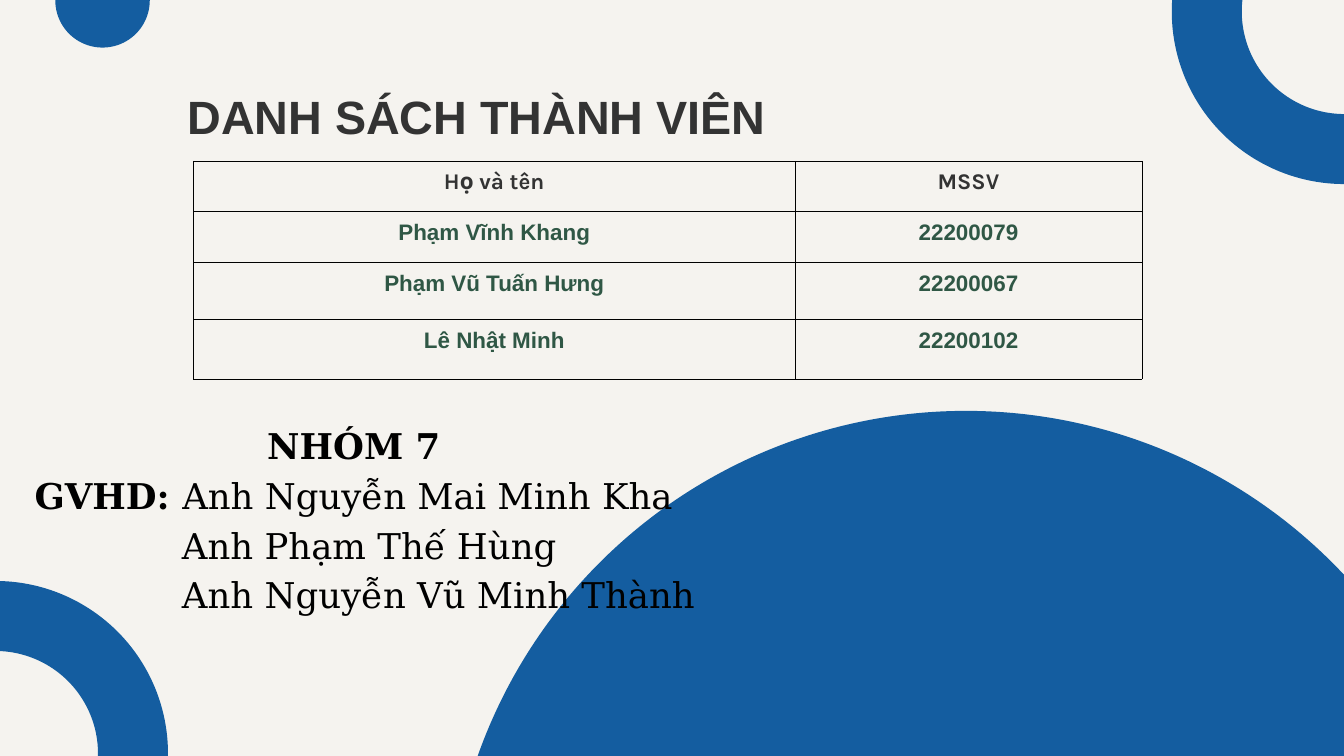
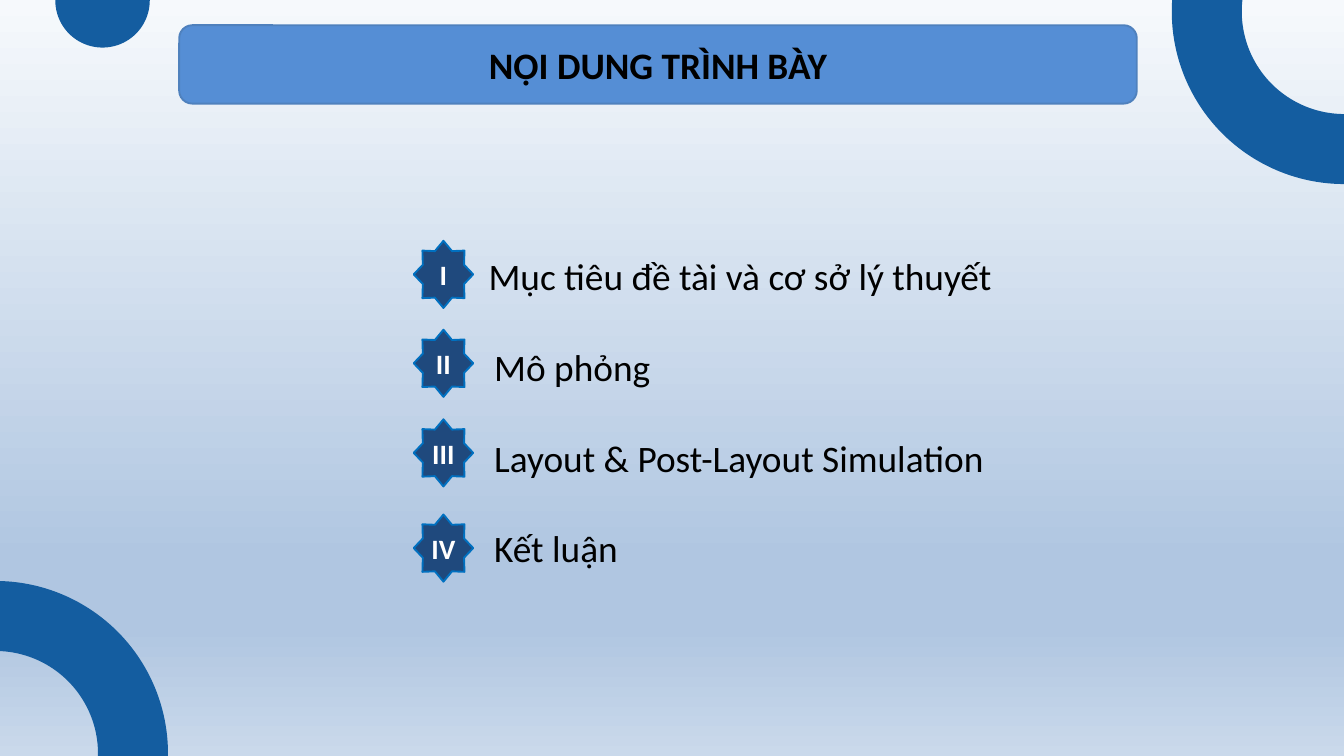
import dataclasses

import lxml.etree
import pptx
import pptx.dml.color
import pptx.enum.shapes
import pptx.enum.text
import pptx.oxml.ns
import pptx.util

PX = 9525  # EMU in one px; the slide is 1920 x 1080 px
ALIGN = pptx.enum.text.PP_ALIGN
ANCHOR = pptx.enum.text.MSO_ANCHOR
SHAPE = pptx.enum.shapes.MSO_SHAPE
qn = pptx.oxml.ns.qn


def rgb(value):
    return pptx.dml.color.RGBColor.from_string(value)


def apply(target, values):
    for name, value in values.items():
        setattr(target, name, value)


def type_style(name, size, color, bold=False):
    return {"name": name, "size": pptx.util.Pt(size), "bold": bold, "color": color}


@dataclasses.dataclass(frozen=True)
class Theme:
    paper: str = "F5F3EF"
    blue: str = "145DA0"
    banner: str = "558ED5"
    banner_edge: str = "4F81BD"
    badge: str = "1F497D"
    badge_edge: str = "0070C0"
    grid: str = "000000"
    sky: tuple = ((0, "F6F9FC"), (74, "B0C6E1"), (83, "B0C6E1"), (100, "CAD9EB"))
    ring_width: int = 75
    edge_width: int = 2
    grid_width: float = 0.37
    heading = type_style("Arial", 50, "333333", True)
    column_head = type_style("Karla", 24, "333333", True)
    member = type_style("Arial", 24, "2F5745", True)
    label = type_style("DejaVu Serif", 38, "000000", True)
    teacher = type_style("DejaVu Serif", 38, "000000")
    banner_title = type_style("Calibri", 40, "000000", True)
    topic = type_style("Calibri", 40, "000000")
    numeral = type_style("Calibri", 30, "FFFFFF", True)


class Deck:
    def __init__(self, theme):
        self.theme = theme
        self.show = pptx.Presentation()
        apply(self.show, {"slide_width": 1920 * PX, "slide_height": 1080 * PX})

    def new_slide(self):
        self.slide = self.show.slides.add_slide(self.show.slide_layouts[1])

    def plain_background(self, color):
        fill = self.slide.background.fill
        fill.solid()
        fill.fore_color.rgb = rgb(color)

    def gradient_background(self, stops):
        fill = self.slide.background.fill
        fill.gradient()
        fill.gradient_angle = 270
        stop_list = next(self.slide.element.iter(qn("a:gsLst")))
        for stop in list(stop_list):
            stop_list.remove(stop)
        for percent, color in stops:
            stop = lxml.etree.SubElement(stop_list, qn("a:gs"), pos=str(percent * 1000))
            lxml.etree.SubElement(stop, qn("a:srgbClr"), val=color)

    def shape(self, kind, box, fill=None, edge=None, width=0):
        figure = self.slide.shapes.add_shape(kind, *(n * PX for n in box))
        figure.shadow.inherit = False
        for paint, color in ((figure.fill, fill), (figure.line.fill, edge)):
            if color:
                paint.solid()
                paint.fore_color.rgb = rgb(color)
            else:
                paint.background()
        if edge:
            figure.line.width = pptx.util.Pt(width)
        return figure

    def frame(self, text_frame, anchor, inset=0, wrap=True):
        apply(text_frame, {"word_wrap": wrap, "vertical_anchor": anchor,
                           "auto_size": pptx.enum.text.MSO_AUTO_SIZE.NONE})
        for side in ("left", "right", "top", "bottom"):
            setattr(text_frame, f"margin_{side}", inset * PX)

    def paragraph(self, paragraph, runs, align=ALIGN.CENTER, indent=0, leading=None, before=0):
        properties = paragraph._p.get_or_add_pPr()
        apply_indent = {"marL": str(indent * PX), "indent": "0"}
        for name, value in apply_indent.items():
            properties.set(name, value)
        lxml.etree.SubElement(properties, qn("a:buNone"))
        apply(paragraph, {"alignment": align, "space_before": pptx.util.Pt(before),
                          "line_spacing": pptx.util.Pt(leading) if leading else 1.0})
        for words, style in runs:
            run = paragraph.add_run()
            run.text = words
            apply(run.font, {k: v for k, v in style.items() if k != "color"})
            run.font.color.rgb = rgb(style["color"])

    def placeholder(self, index, box, anchor, inset=0):
        """Place a template placeholder in front of what is drawn so far."""
        holder = self.slide.placeholders[index]
        apply(holder, dict(zip(("left", "top", "width", "height"), (n * PX for n in box))))
        holder.element.getparent().append(holder.element)
        self.frame(holder.text_frame, anchor, inset)
        return holder.text_frame

    def title(self, words, style, box, anchor, leading=None):
        text_frame = self.placeholder(0, box, anchor)
        self.paragraph(text_frame.paragraphs[0], [(words, style)], leading=leading)

    def body(self, lines, box, inset=0, leading=None, gap=0):
        text_frame = self.placeholder(1, box, ANCHOR.TOP, inset)
        for i, (runs, align, indent) in enumerate(lines):
            line = text_frame.add_paragraph() if i else text_frame.paragraphs[0]
            self.paragraph(line, runs, align, indent, leading, gap if i else 0)

    def badge(self, numeral, box):
        star = self.shape(SHAPE.STAR_8_POINT, box, self.theme.badge,
                          self.theme.badge_edge, self.theme.edge_width)
        self.frame(star.text_frame, ANCHOR.MIDDLE, wrap=False)
        self.paragraph(star.text_frame.paragraphs[0], [(numeral, self.theme.numeral)])

    def cell_borders(self, cell):
        properties = cell._tc.get_or_add_tcPr()
        for i, side in enumerate(("lnL", "lnR", "lnT", "lnB")):
            width = str(pptx.util.Pt(self.theme.grid_width))
            line = lxml.etree.Element(qn(f"a:{side}"), w=width)
            fill = lxml.etree.SubElement(line, qn("a:solidFill"))
            lxml.etree.SubElement(fill, qn("a:srgbClr"), val=self.theme.grid)
            properties.insert(i, line)

    def table(self, rows, left, top, widths, heights):
        grid = self.slide.shapes.add_table(
            len(heights), len(widths), left * PX, top * PX,
            sum(widths) * PX, sum(heights) * PX).table
        apply(grid, {"first_row": False, "horz_banding": False})
        for column, width in zip(grid.columns, widths):
            column.width = width * PX
        for r, (values, height) in enumerate(zip(rows, heights)):
            grid.rows[r].height = height * PX
            style = self.theme.member if r else self.theme.column_head
            for c, value in enumerate(values):
                cell = grid.cell(r, c)
                cell.fill.background()
                for side in ("left", "right", "top", "bottom"):
                    setattr(cell, f"margin_{side}", 10 * PX)
                self.paragraph(cell.text_frame.paragraphs[0], [(value, style)], leading=28.8)
                self.cell_borders(cell)

    def corner_circles(self):
        blue, width = self.theme.blue, self.theme.ring_width
        self.shape(SHAPE.OVAL, (1724, -180, 393, 393), edge=blue, width=width)
        self.shape(SHAPE.OVAL, (79, -67, 135, 135), fill=blue)
        self.shape(SHAPE.OVAL, (-203, 880, 393, 393), edge=blue, width=width)


def members_slide(deck):
    theme = deck.theme
    deck.new_slide()
    deck.plain_background(theme.paper)
    deck.shape(SHAPE.OVAL, (640, 587, 1480, 1480), fill=theme.blue)
    deck.corner_circles()

    # Member list
    members = [("Họ và tên", "MSSV"),
               ("Phạm Vĩnh Khang", "22200079"),
               ("Phạm Vũ Tuấn Hưng", "22200067"),
               ("Lê Nhật Minh", "22200102")]
    deck.table(members, 276, 230, (860, 495), (72, 73, 81, 85))
    deck.title("DANH SÁCH THÀNH VIÊN", theme.heading, (146, 65, 1070, 141),
               ANCHOR.BOTTOM, leading=60)

    # Group and teachers
    teachers = [
        ([("NHÓM 7", theme.label)], ALIGN.CENTER, 0),
        ([("GVHD: ", theme.label), ("Anh Nguyễn Mai Minh Kha", theme.teacher)],
         ALIGN.CENTER, 0),
        ([("Anh Phạm Thế Hùng", theme.teacher)], ALIGN.LEFT, 244),
        ([("Anh Nguyễn Vũ Minh Thành", theme.teacher)], ALIGN.LEFT, 244),
    ]
    deck.body(teachers, (16, 596, 979, 384), leading=53.2)


def contents_slide(deck):
    theme = deck.theme
    deck.new_slide()
    deck.gradient_background(theme.sky)
    deck.corner_circles()

    # Topics, the first one slightly to the left
    topics = ["Mục tiêu đề tài và cơ sở lý thuyết", "Mô phỏng",
              "Layout & Post-Layout Simulation", "Kết luận"]
    lines = [([(topic, theme.topic)], ALIGN.LEFT, 8 if i else 0)
             for i, topic in enumerate(topics)]
    deck.body(lines, (688, 351, 960, 467), inset=10, gap=49.5)
    for numeral, top in zip(("I", "II", "III", "IV"), (344, 471, 599, 735)):
        deck.badge(numeral, (591, top, 85, 96))

    # Title banner
    banner = (256, 36, 1368, 112)
    deck.shape(SHAPE.ROUNDED_RECTANGLE, banner, theme.banner,
               theme.banner_edge, theme.edge_width)
    deck.title("NỘI DUNG TRÌNH BÀY", theme.banner_title, banner, ANCHOR.MIDDLE)


def main():
    deck = Deck(Theme())
    members_slide(deck)
    contents_slide(deck)
    deck.show.save("out.pptx")


if __name__ == "__main__":
    main()
